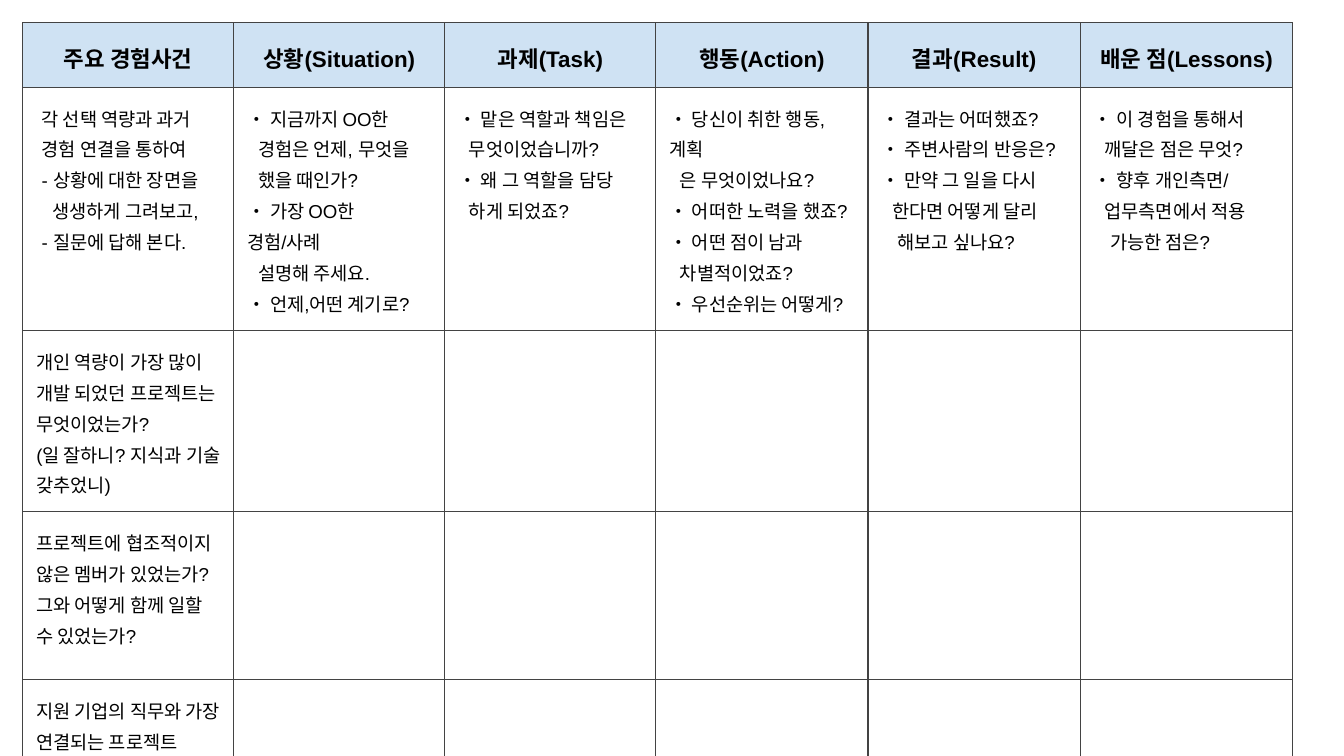
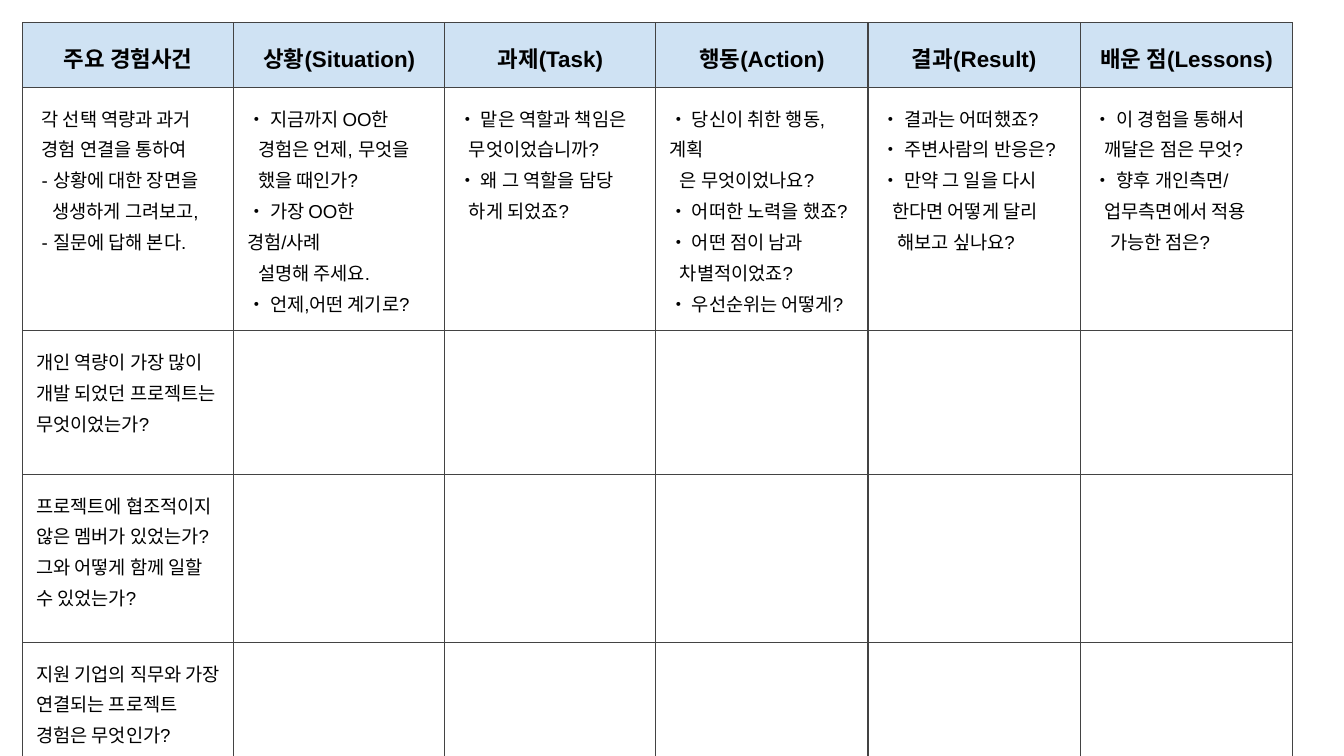
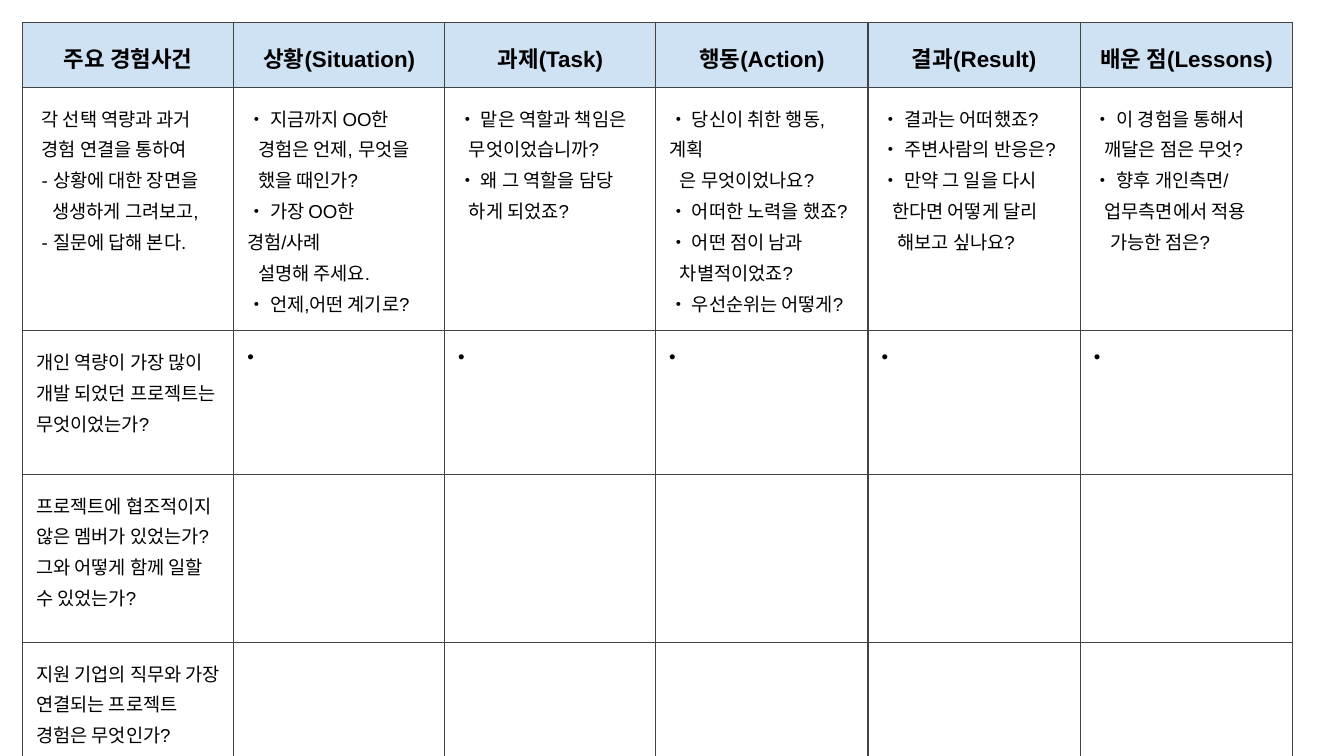
from pptx import Presentation
from pptx.dml.color import RGBColor as Rgb
from pptx.enum.text import PP_ALIGN as Align
from pptx.oxml.ns import qn
from pptx.util import Inches, Pt
from lxml.etree import SubElement as Sub, Element

# Content: each leading ">" indents a line by one step
HEADS = ["주요 경험사건", "상황(Situation)", "과제(Task)",
         "행동(Action)", "결과(Result)", "배운 점(Lessons)"]
GUIDE = [
    [">각 선택 역량과 과거", ">경험 연결을 통하여", ">- 상황에 대한 장면을",
     ">>>생생하게 그려보고,", ">- 질문에 답해 본다."],
    ["• 지금까지 OO한", ">>경험은 언제, 무엇을", ">>했을 때인가?",
     "• 가장 OO한 경험/사례", ">>설명해 주세요.", "• 언제,어떤 계기로?"],
    ["• 맡은 역할과 책임은", ">>무엇이었습니까?",
     "• 왜 그 역할을 담당", ">>하게 되었죠?"],
    ["• 당신이 취한 행동,계획", ">>은 무엇이었나요?", "• 어떠한 노력을 했죠?",
     "• 어떤 점이 남과", ">>차별적이었죠?", "• 우선순위는 어떻게?"],
    ["• 결과는 어떠했죠?", "• 주변사람의 반응은?", "• 만약 그 일을 다시",
     ">>한다면 어떻게 달리", ">>>해보고 싶나요?"],
    ["• 이 경험을 통해서", ">>깨달은 점은 무엇?", "• 향후 개인측면/",
     ">>업무측면에서 적용", ">>>가능한 점은?"],
]
GROWTH = "개인 역량이 가장 많이 개발 되었던 프로젝트는 무엇이었는가?"
TEAM = "프로젝트에 협조적이지 않은 멤버가 있었는가? 그와 어떻게 함께 일할 수 있었는가?"
MATCH = "지원 기업의 직무와 가장 연결되는 프로젝트 경험은 무엇인가?"
HINT = "(일 잘하니? 지식과 기술 갖추었니)"

# Per slide: extra lines under the first question, answers beside it
SLIDES = [
    {"extra": [HINT], "answer": []},
    {"extra": [], "answer": []},
    {"extra": [], "answer": ["•"]},
]

# Shared look
COLORS = {"head": "CFE2F3", "line": "434343", "text": "000000"}
FONT = "Arial"
EDGE, PAD, STEP = 0.17, 0.1, 0.04
WIDTHS = [1.57] * 3 + [1.58] * 3
HEIGHTS = [0.34, 1.32, 1.07, 1.25, 0.96]


def write(par, text, size=10, bold=False, align=None):
    """Fill one paragraph, turning its leading marks into an indent."""
    words = text.lstrip(">")
    depth = len(text) - len(words)
    par.alignment = align
    par.line_spacing = 1.15
    if depth:
        props = par._p.get_or_add_pPr()
        props.set("marL", str(Inches(STEP * depth)))
        props.set("indent", "0")
    run = par.add_run()
    run.text = words
    font = run.font
    font.name, font.size, font.bold = FONT, Pt(size), bold
    font.color.rgb = Rgb.from_string(COLORS["text"])


def frame(cell):
    """Draw the four borders; they must come before the fill."""
    props = cell._tc.get_or_add_tcPr()
    for place, side in enumerate("LRTB"):
        line = Element(qn("a:ln" + side), w=str(Pt(0.75)))
        fill = Sub(line, qn("a:solidFill"))
        Sub(fill, qn("a:srgbClr"), val=COLORS["line"])
        props.insert(place, line)


def fill_cell(cell, lines, head=False):
    cell.margin_left = cell.margin_right = Inches(PAD)
    cell.margin_top = cell.margin_bottom = Inches(PAD)
    if head:
        cell.fill.solid()
        cell.fill.fore_color.rgb = Rgb.from_string(COLORS["head"])
        style = {"size": 12, "bold": True, "align": Align.CENTER}
    else:
        cell.fill.background()
        style = {}
    frame(cell)
    body = cell.text_frame
    for i, text in enumerate(lines):
        write(body.add_paragraph() if i else body.paragraphs[0], text, **style)


def add_grid(slide, extra, answer):
    blank = [[]] * (len(HEADS) - 1)
    rows = [
        [[head] for head in HEADS],
        GUIDE,
        [[GROWTH] + extra] + [answer] * len(blank),
        [[TEAM]] + blank,
        [[MATCH]] + blank,
    ]
    table = slide.shapes.add_table(
        len(rows), len(HEADS), Inches(EDGE), Inches(EDGE),
        Inches(sum(WIDTHS)), Inches(sum(HEIGHTS))).table
    table.first_row = table.horz_banding = False
    for col, width in zip(table.columns, WIDTHS):
        col.width = Inches(width)
    for r, (row, height) in enumerate(zip(rows, HEIGHTS)):
        table.rows[r].height = Inches(height)
        for c, lines in enumerate(row):
            fill_cell(table.cell(r, c), lines, head=r == 0)


def main():
    deck = Presentation()
    # Widescreen, 16 to 9
    deck.slide_width = Inches(10)
    deck.slide_height = deck.slide_width * 9 // 16
    for parts in SLIDES:
        add_grid(deck.slides.add_slide(deck.slide_layouts[6]), **parts)
    deck.save("out.pptx")


if __name__ == "__main__":
    main()
